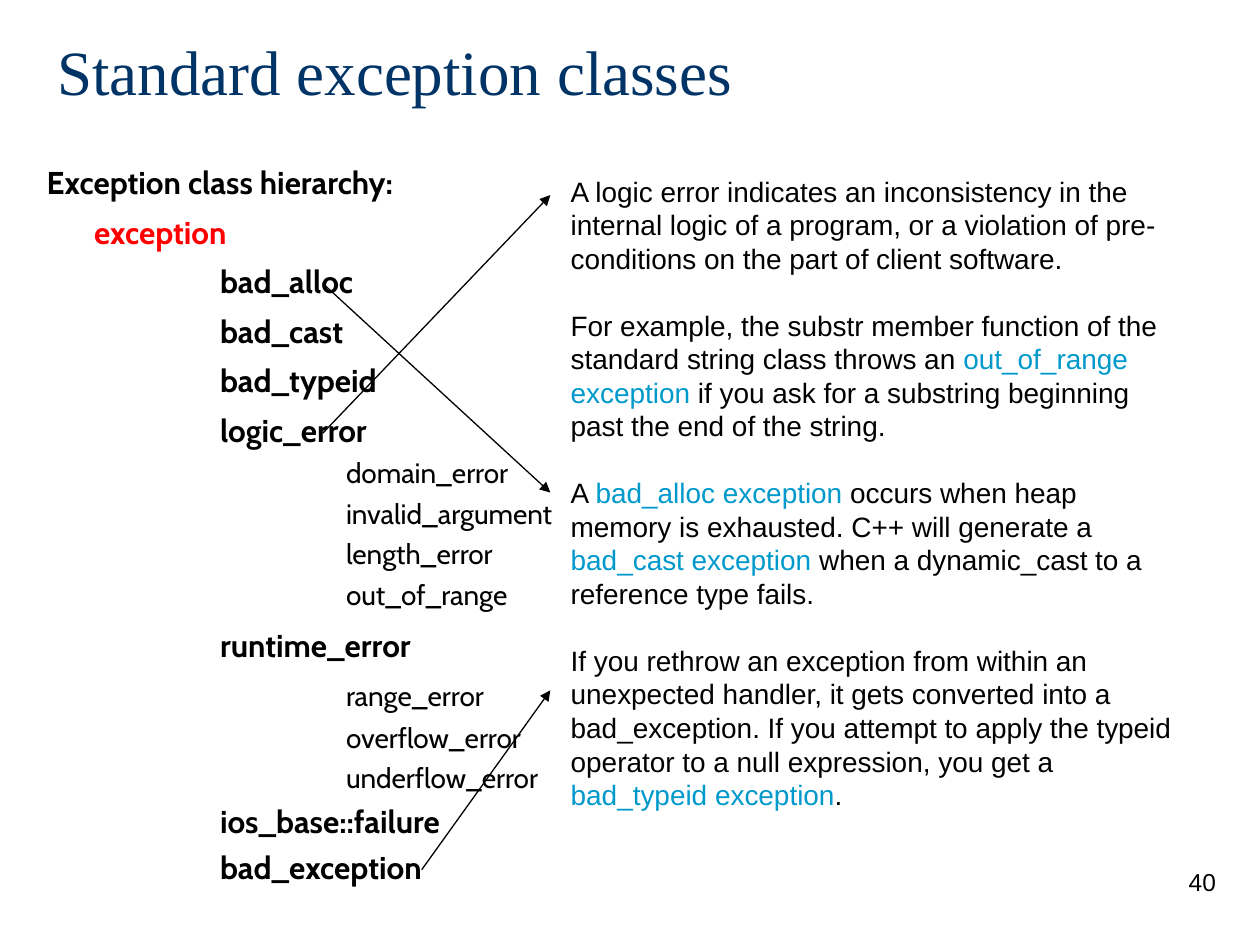
from lxml import etree
from pptx import Presentation
from pptx.dml.color import RGBColor
from pptx.enum import shapes, text
from pptx.oxml import ns
from pptx.util import Pt

BLACK = RGBColor(0, 0, 0)
NAVY = RGBColor(0, 0x33, 0x66)
RED = RGBColor(0xFF, 0, 0)
TEAL = RGBColor(0, 0x99, 0xCC)

# Left indent of each level, in points
INDENT = [0, 27, 99, 171]

# Level, name, line spacing, space before, space after
TREE = [
    (0, "Exception class hierarchy:", 1.2, 4.5, 0),
    (1, "exception", 1.1, 4.5, 0),
    (2, "bad_alloc", 1.1, 4.5, 0),
    (2, "bad_cast", 1.1, 4.5, 0),
    (2, "bad_typeid", 1.1, 4.5, 0),
    (2, "logic_error", 1.1, 4.5, 0),
    (3, "domain_error", 1, 4, 0),
    (3, "invalid_argument", 1, 4, 0),
    (3, "length_error", 1, 4, 0),
    (3, "out_of_range", 1, 4, 0),
    (2, "runtime_error", 1.2, 4.5, 0),
    (3, "range_error", 1, 8, 1),
    (3, "overflow_error", 1, 4, 0),
    (3, "underflow_error", 1, 4, 0),
    (2, "ios_base::failure", 1, 4.5, 0),
    (2, "bad_exception", 1, 4.5, 0),
]

# Words between bars are highlighted
NOTES = [
    "A logic error indicates an inconsistency in the internal logic of a "
    "program, or a violation of pre-conditions on the part of client software.",
    "For example, the substr member function of the standard string class "
    "throws an |out_of_range exception| if you ask for a substring beginning "
    "past the end of the string.",
    "A |bad_alloc exception| occurs when heap memory is exhausted. C++ will "
    "generate a |bad_cast exception| when a dynamic_cast to a reference type "
    "fails.",
    "If you rethrow an exception from within an unexpected handler, it gets "
    "converted into a bad_exception. If you attempt to apply the typeid "
    "operator to a null expression, you get a |bad_typeid exception|.",
]

# Start and end of each arrow
ARROWS = [
    ((184.5, 162), (314.5, 281.5)),
    ((184.5, 247.5), (314.5, 111.5)),
    ((241, 497), (314.5, 394.5)),
]


def place(shape, box, anchor=text.MSO_ANCHOR.TOP):
    """Move a shape to its box and return its text frame."""
    shape.left, shape.top, shape.width, shape.height = map(Pt, box)
    frame = shape.text_frame
    frame.word_wrap = True
    frame.auto_size = text.MSO_AUTO_SIZE.NONE
    frame.vertical_anchor = anchor
    return frame


def style(para, name, size, color, bold=False):
    font = para.font
    font.name, font.size, font.bold = name, Pt(size), bold
    font.color.rgb = color


def lines(frame, items):
    """Yield a paragraph for each item, starting with the first one."""
    for i, item in enumerate(items):
        yield frame.add_paragraph() if i else frame.paragraphs[0], item


def add_title(slide, box):
    para = place(slide.shapes.title, box, text.MSO_ANCHOR.MIDDLE).paragraphs[0]
    para.text = "Standard exception classes"
    para.alignment = text.PP_ALIGN.LEFT
    style(para, "Times New Roman", 36, NAVY)


def add_tree(slide, box):
    frame = place(slide.placeholders[1], box)
    for para, (level, name, space, before, after) in lines(frame, TREE):
        para.text = name
        para.line_spacing = space
        para.space_before, para.space_after = Pt(before), Pt(after)
        leaf = level == 3
        style(para, "Cabin", 16 if leaf else 18,
              RED if level == 1 else BLACK, not leaf)
        # Indent without a bullet
        props = para._p.get_or_add_pPr()
        props.set("marL", str(Pt(INDENT[level])))
        props.set("indent", "0")
        bullet = etree.Element(ns.qn("a:buNone"))
        props.insert_element_before(bullet, "a:tabLst", "a:defRPr")


def add_notes(slide, box):
    frame = place(slide.shapes.add_textbox(0, 0, 0, 0), box)
    for para, note in lines(frame, NOTES):
        style(para, "Arial", 16, BLACK)
        if note != NOTES[0]:
            para.space_before = Pt(19)
        for i, part in enumerate(note.split("|")):
            run = para.add_run()
            run.text = part
            if i % 2:
                run.font.color.rgb = TEAL


def add_number(slide, box):
    para = place(slide.shapes.add_textbox(0, 0, 0, 0), box).paragraphs[0]
    para.text = "40"
    para.alignment = text.PP_ALIGN.RIGHT
    para.space_before = Pt(8.8)
    style(para, "Arial", 14, BLACK)


def add_arrow(slide, start, end):
    line = slide.shapes.add_connector(
        shapes.MSO_CONNECTOR.STRAIGHT, *map(Pt, start + end))
    line.line.color.rgb = BLACK
    line.line.width = Pt(0.75)
    stroke = line.line._get_or_add_ln()
    etree.SubElement(stroke, ns.qn("a:tailEnd"), type="triangle")
    etree.SubElement(line._element.spPr, ns.qn("a:effectLst"))


def main():
    deck = Presentation()
    deck.slide_width, deck.slide_height = Pt(720), Pt(540)
    slide = deck.slides.add_slide(deck.slide_layouts[1])
    add_number(slide, (552, 492, 150, 36))
    add_tree(slide, (19.5, 85.5, 600, 454))
    add_title(slide, (25.5, 15, 612, 50))
    add_notes(slide, (319, 96, 364, 372))
    for start, end in ARROWS:
        add_arrow(slide, start, end)
    deck.save("out.pptx")


if __name__ == "__main__":
    main()
